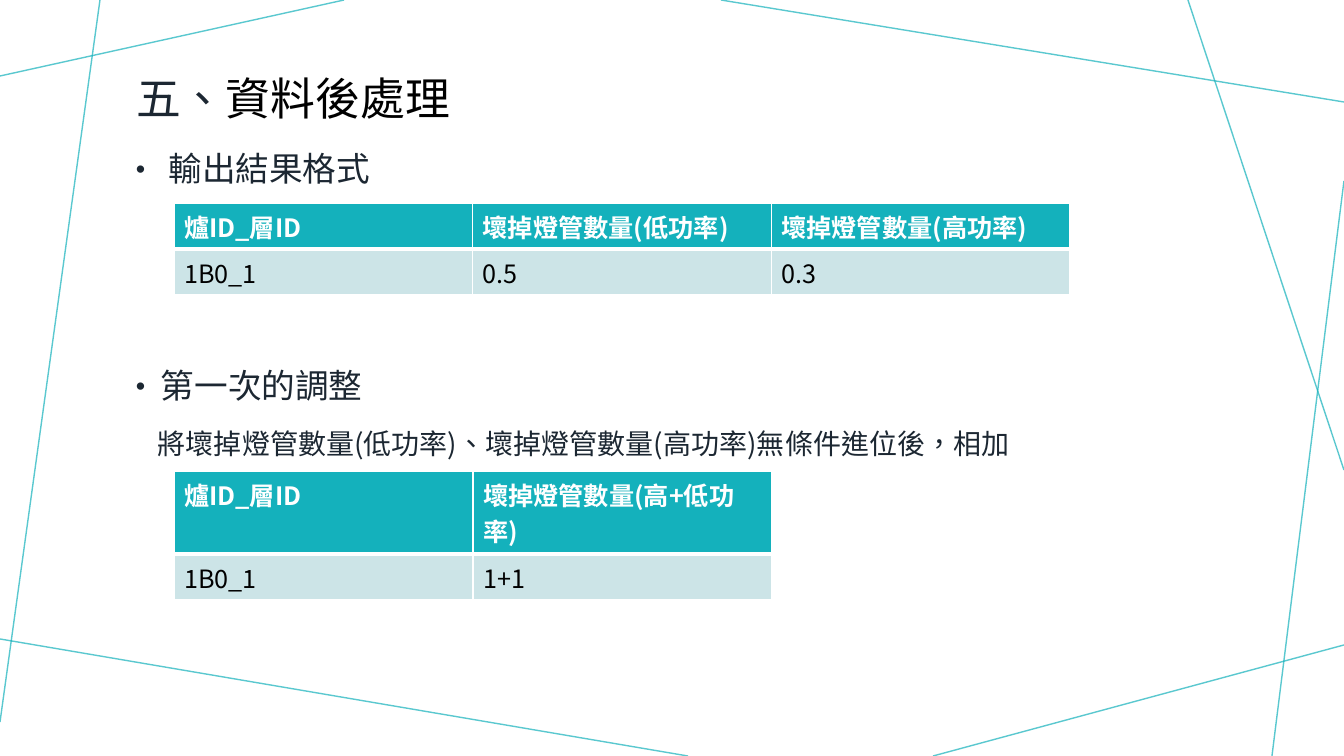
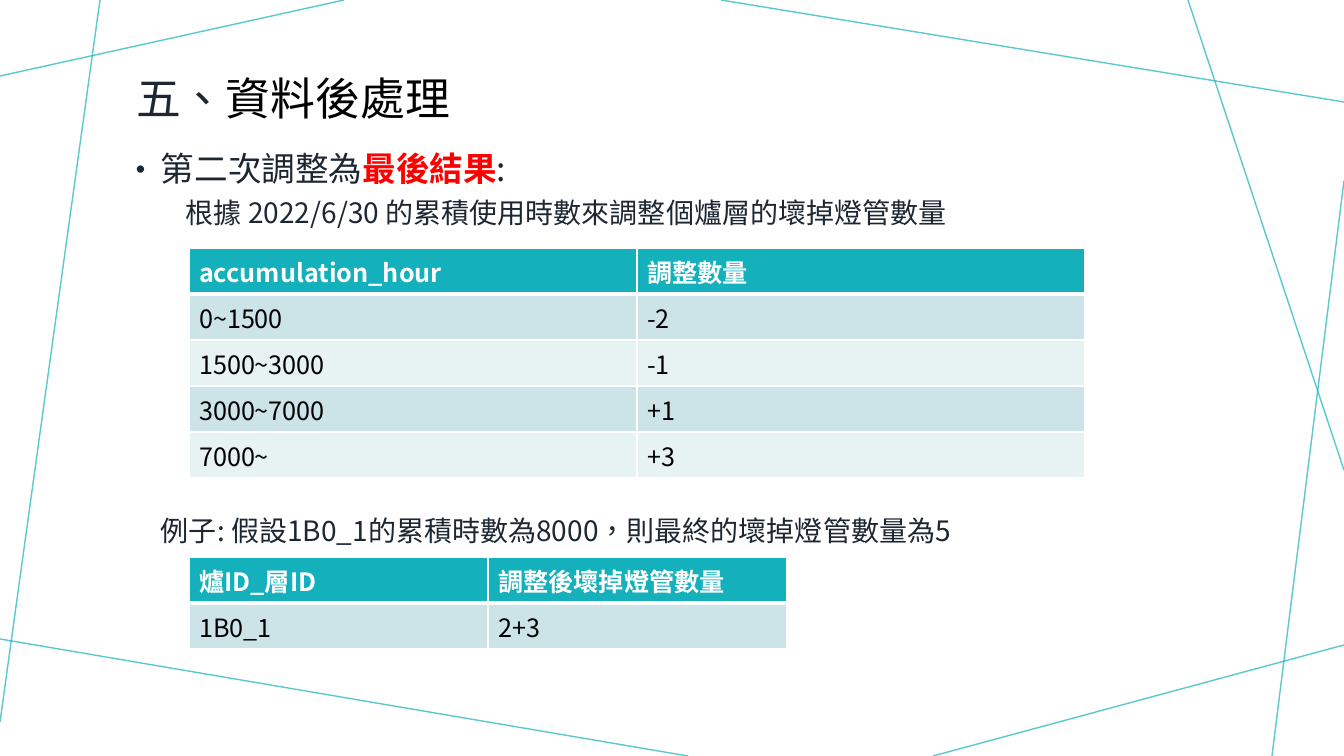
"""Build two slides on the post-processing of lamp data."""
import pptx
import pptx.dml.color
import pptx.enum.shapes
import pptx.enum.text
import pptx.oxml
import pptx.oxml.ns
import pptx.util

RGB = pptx.dml.color.RGBColor
TEAL = RGB(0x14, 0xB1, 0xBC)
INK = RGB(0x1C, 0x27, 0x32)
BLACK = RGB(0, 0, 0)
WHITE = RGB(255, 255, 255)
RED = RGB(255, 0, 0)
BANDS = [RGB(0xCC, 0xE4, 0xE7), RGB(0xE7, 0xF2, 0xF3)]
FONT = "Noto Sans CJK SC"
WIDE, HIGH = 1344, 756
LEFT, SPAN = 126, 1092
ROW, TALL = 46, 83
HANG = 25
RAYS = [
    (344, 0, 0, 76),
    (100, 0, 0, 722),
    (688, 756, 0, 639),
    (1344, 645, 933, 756),
    (1344, 181, 1272, 756),
    (1344, 470, 1188, 0),
    (1344, 102, 721, 0),
]


def px(count):
    return pptx.util.Emu(round(count * 914400 / 100.8))


def node(owner, tag, **attrs):
    item = pptx.oxml.parse_xml(f"<a:{tag} {pptx.oxml.ns.nsdecls('a')}/>")
    for key, value in attrs.items():
        item.set(key, str(value))
    owner.append(item)
    return item


def add_run(para, text, size, color=INK, bold=False):
    run = para.add_run()
    run.text = text
    run.font.size = pptx.util.Pt(size)
    run.font.name = FONT
    run.font.bold = bold
    run.font.color.rgb = color
    props = run.font._element
    props.set("lang", "zh-TW")
    node(props, "ea", typeface=FONT)


def add_rays(slide):
    for x1, y1, x2, y2 in RAYS:
        ray = slide.shapes.add_connector(
            pptx.enum.shapes.MSO_CONNECTOR.STRAIGHT, px(x1), px(y1), px(x2), px(y2))
        ray.line.color.rgb = TEAL
        ray.line.width = pptx.util.Pt(1)
        tint = ray.line._ln.find(".//" + pptx.oxml.ns.qn("a:srgbClr"))
        node(tint, "alpha", val=70000)
        node(ray._element.spPr, "effectLst")


def set_title(slide):
    title = slide.shapes.title
    title.left, title.top, title.width, title.height = px(LEFT), px(58), px(SPAN), px(85)
    frame = title.text_frame
    frame.word_wrap = True
    frame.vertical_anchor = pptx.enum.text.MSO_ANCHOR.MIDDLE
    para = frame.paragraphs[0]
    para.alignment = pptx.enum.text.PP_ALIGN.LEFT
    para.line_spacing = 0.9
    add_run(para, "五、", 32)
    add_run(para, "資料後處理", 32, BLACK)


def add_para(frame, runs, size, before=0, indent=HANG, bullet=False):
    """Fill the empty first paragraph, or add one after it."""
    para = frame.paragraphs[0]
    if para.runs:
        para = frame.add_paragraph()
    para.line_spacing = 0.9
    para.space_before = pptx.util.Pt(before)
    props = para._p.get_or_add_pPr()
    props.set("marL", str(px(indent)))
    props.set("indent", str(-px(HANG) if bullet else 0))
    if bullet:
        node(props, "buSzPct", val=80000)
        node(props, "buFont", typeface="Arial")
        node(props, "buChar", char="•")
    else:
        node(props, "buNone")
    for text, *look in runs:
        add_run(para, text, size, *look)


def add_body(slide):
    box = slide.shapes.add_textbox(px(LEFT), px(148), px(SPAN), px(517))
    box.text_frame.word_wrap = True
    return box.text_frame


def style_cell(cell, text, row):
    head = row == 0
    add_run(cell.text_frame.paragraphs[0], text, 18, WHITE if head else BLACK, head)
    props = cell._tc.get_or_add_tcPr()
    for side in "LRTB":
        thick = (row, side) in ((0, "B"), (1, "T"))
        edge = node(props, "ln" + side, w=pptx.util.Pt(3 if thick else 1))
        node(node(edge, "solidFill"), "srgbClr", val=WHITE)
    cell.fill.solid()
    cell.fill.fore_color.rgb = TEAL if head else BANDS[(row - 1) % 2]


def add_grid(slide, left, top, width, rows, head=ROW):
    count = len(rows[0])
    high = head + ROW * (len(rows) - 1)
    grid = slide.shapes.add_table(
        len(rows), count, px(left), px(top), px(width), px(high)).table
    grid.horz_banding = False
    for col in grid.columns:
        col.width = px(width / count)
    for i, texts in enumerate(rows):
        grid.rows[i].height = px(ROW if i else head)
        for j, text in enumerate(texts):
            style_cell(grid.cell(i, j), text, i)


def add_slide(deck):
    slide = deck.slides.add_slide(deck.slide_layouts[5])
    add_rays(slide)
    set_title(slide)
    return slide


def add_first(deck):
    slide = add_slide(deck)
    body = add_body(slide)
    add_para(body, [(" 輸出結果格式",)], 24, bullet=True)
    add_para(body, [("第一次的調整",)], 24, before=129, bullet=True)
    add_para(body, [("將壞掉燈管數量(低功率)、壞掉燈管數量(高功率)無條件進位後\uff0c相加",)],
             20, before=17, indent=22)
    add_grid(slide, 174, 203, 896, [
        ("爐ID_層ID", "壞掉燈管數量(低功率)", "壞掉燈管數量(高功率)"),
        ("1B0_1", "0.5", "0.3"),
    ])
    add_grid(slide, 174, 471, 598, [
        ("爐ID_層ID", "壞掉燈管數量(高+低功率)"),
        ("1B0_1", "1+1"),
    ], head=TALL)


def add_second(deck):
    slide = add_slide(deck)
    body = add_body(slide)
    add_para(body, [("第二次調整為",), ("最後結果", RED, True), (":",)], 24, bullet=True)
    add_para(body, [("根據 2022/6/30 的累積使用時數來調整個爐層的壞掉燈管數量",)],
             20, before=7, indent=50)
    add_para(body, [("例子: 假設1B0_1的累積時數為8000\uff0c則最終的壞掉燈管數量為5",)],
             20, before=206)
    add_grid(slide, 189, 248, 896, [
        ("accumulation_hour", "調整數量"),
        ("0~1500", "-2"),
        ("1500~3000", "-1"),
        ("3000~7000", "+1"),
        ("7000~", "+3"),
    ])
    add_grid(slide, 189, 557, 598, [
        ("爐ID_層ID", "調整後壞掉燈管數量"),
        ("1B0_1", "2+3"),
    ])


def main():
    deck = pptx.Presentation()
    deck.slide_width, deck.slide_height = px(WIDE), px(HIGH)
    add_first(deck)
    add_second(deck)
    deck.save("out.pptx")


main()
